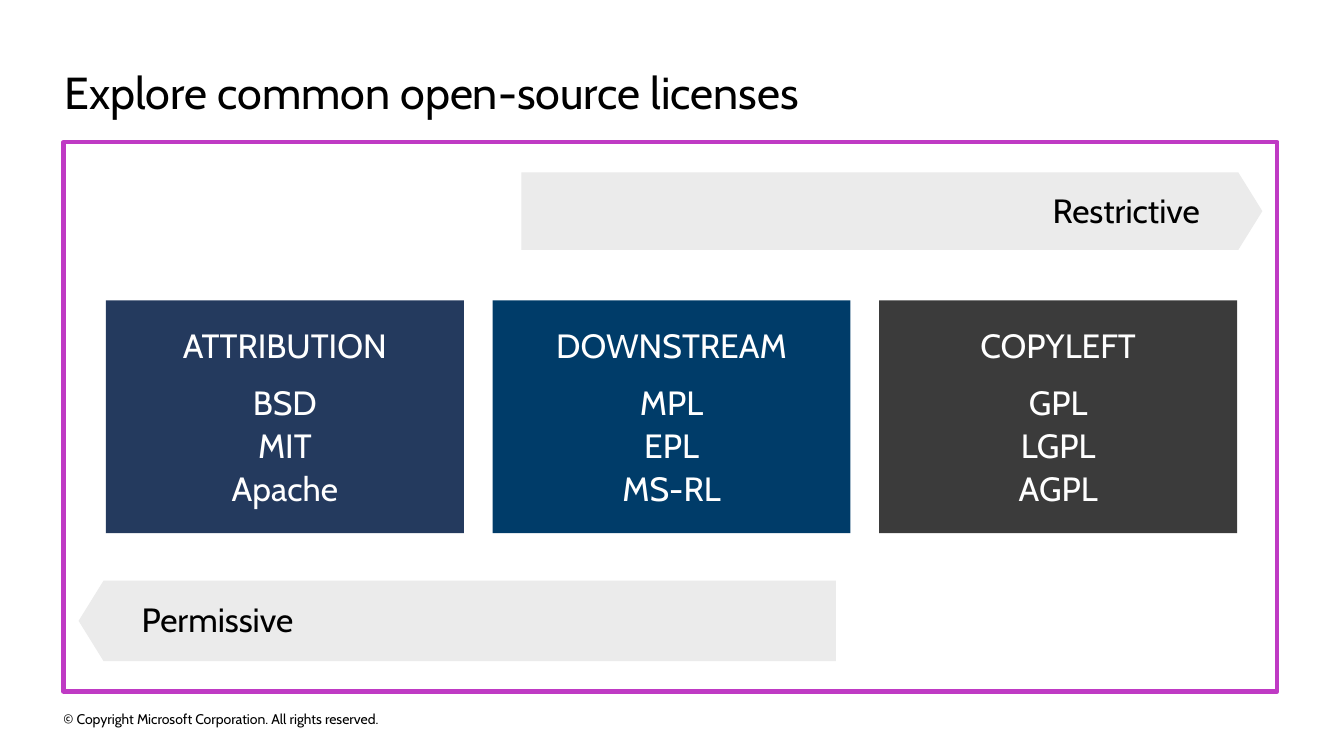
import pptx
import pptx.util
import pptx.dml.color
import pptx.enum.shapes
import pptx.enum.text

Inches = pptx.util.Inches
Pt = pptx.util.Pt
SHAPE = pptx.enum.shapes.MSO_SHAPE
ALIGN = pptx.enum.text.PP_ALIGN
ANCHOR = pptx.enum.text.MSO_ANCHOR
COLORS = {
    "black": "000000", "white": "FFFFFF", "frame": "BF3AC4", "arrow": "EBEBEB",
    "navy": "243A5E", "blue": "003C69", "gray": "3B3B3B",
}


def rgb(name):
    return pptx.dml.color.RGBColor.from_string(COLORS[name])


def write(shape, text, size, color, align, anchor, inset):
    frame = shape.text_frame
    frame.word_wrap = True
    frame.vertical_anchor = anchor
    (frame.margin_left, frame.margin_top,
     frame.margin_right, frame.margin_bottom) = [Inches(side) for side in inset]
    frame.text = text
    for para in frame.paragraphs:
        para.alignment = align
        for run in para.runs:
            run.font.name = "Cabin"
            run.font.size = Pt(size)
            run.font.color.rgb = rgb(color)
    return frame


deck = pptx.Presentation()
deck.slide_width = Inches(13.33)
deck.slide_height = Inches(7.5)
slide = deck.slides.add_slide(deck.slide_layouts[6])
shapes = slide.shapes

# Title and copyright line
for text, size, anchor, box in [
    ("Explore common open-source licenses", 32, ANCHOR.TOP, (0.64, 0.64, 12.04, 0.54)),
    ("© Copyright Microsoft Corporation. All rights reserved.", 10, ANCHOR.MIDDLE,
     (0.63, 7.02, 4.54, 0.22)),
]:
    label = shapes.add_textbox(*[Inches(n) for n in box])
    write(label, text, size, "black", ALIGN.LEFT, anchor, (0, 0, 0, 0))

# Frame
frame = shapes.add_shape(SHAPE.RECTANGLE, Inches(0.63), Inches(1.41), Inches(12.04), Inches(5.45))
frame.shadow.inherit = False
frame.fill.solid()
frame.fill.fore_color.rgb = rgb("white")
frame.line.color.rgb = rgb("frame")
frame.line.width = Pt(3)

# Arrows, the lower one pointing left
for text, box, align, inset, flip in [
    ("Restrictive", (5.17, 1.71, 7.35, 0.77), ALIGN.RIGHT, (0.07, 0.04, 0.5, 0.07), False),
    ("Permissive", (0.78, 5.76, 7.51, 0.8), ALIGN.LEFT, (0.5, 0.04, 0.04, 0.07), True),
]:
    arrow = shapes.add_shape(SHAPE.PENTAGON, *[Inches(n) for n in box])
    arrow.adjustments[0] = 0.31
    arrow.shadow.inherit = False
    arrow.fill.solid()
    arrow.fill.fore_color.rgb = rgb("arrow")
    arrow.line.fill.background()
    if flip:
        arrow.element.spPr.xfrm.set("flipH", "1")
    write(arrow, text, 24, "black", align, ANCHOR.MIDDLE, inset)

# License cards
cards = [
    ("navy", ["ATTRIBUTION", "BSD", "MIT", "Apache"]),
    ("blue", ["DOWNSTREAM", "MPL", "EPL", "MS-RL"]),
    ("gray", ["COPYLEFT", "GPL", "LGPL", "AGPL"]),
]
for col, (color, lines) in enumerate(cards):
    card = shapes.add_shape(SHAPE.RECTANGLE, Inches(1.05 + col * 3.835), Inches(2.98),
                            Inches(3.55), Inches(2.31))
    card.shadow.inherit = False
    card.fill.solid()
    card.fill.fore_color.rgb = rgb(color)
    card.line.fill.background()
    body = write(card, "\n".join(lines), 24, "white", ALIGN.CENTER, ANCHOR.MIDDLE,
                 (0.1, 0.05, 0.1, 0.05))
    for row, para in enumerate(body.paragraphs):
        para.space_after = Pt(2 if row else 12)

deck.save("out.pptx")
